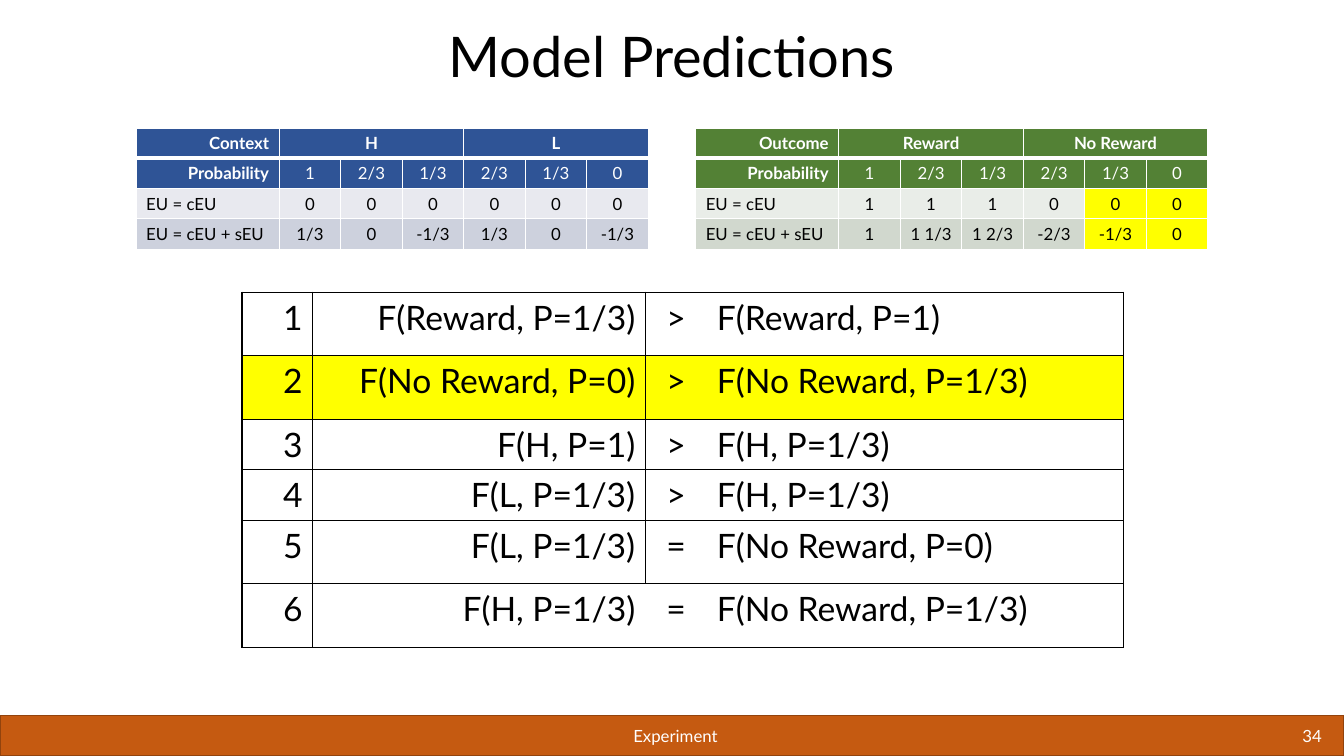
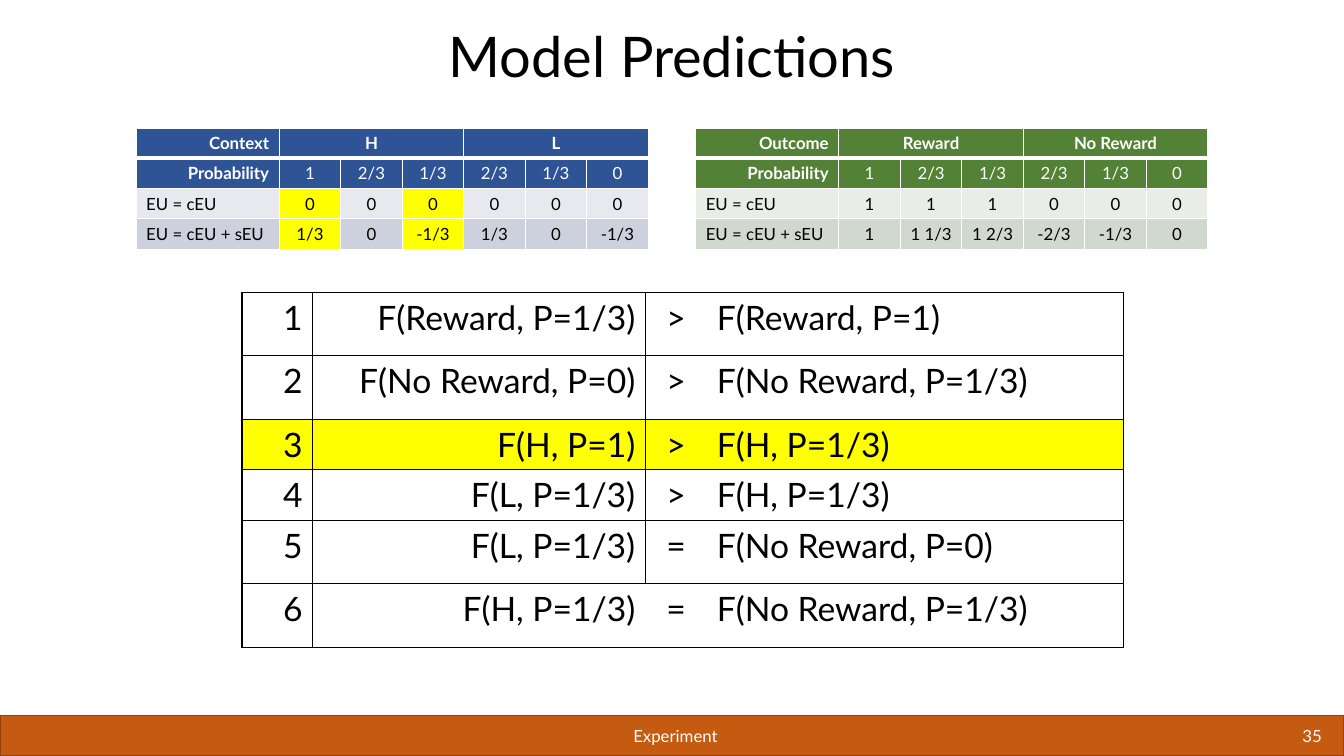
"""Builds two slides of model predictions, each highlighting one prediction."""
from pptx import Presentation
from pptx.dml.color import RGBColor
from pptx.enum.shapes import MSO_SHAPE as Shape
from pptx.enum.text import MSO_ANCHOR as Anchor, PP_ALIGN as Align
from pptx.oxml.ns import qn
from pptx.util import Inches, Pt
from lxml.etree import SubElement

FONT = "Lato"
BLACK, WHITE, YELLOW = "000000", "FFFFFF", "FFFF00"
BAND, BAND_LINE = "C55A11", "92430D"
TITLE, SECTION = "Model Predictions", "Experiment"
BAND_TOP, BAND_HEIGHT = 7.1, 0.4

PROBABILITIES = ["Probability", "1", "2/3", "1/3", "2/3", "1/3", "0"]
UTILITIES = [
    {
        "left": 1.35,
        "shades": ["2F5496", "2F5496", "E8E9EF", "CDD1DD"],
        "rows": [
            ["Context", "H", "", "", "L", "", ""],
            PROBABILITIES,
            ["EU = cEU", "0", "0", "0", "0", "0", "0"],
            ["EU = cEU + sEU", "1/3", "0", "-1/3", "1/3", "0", "-1/3"],
        ],
    },
    {
        "left": 6.9,
        "shades": ["538135", "538135", "E9EDE8", "D1D8CE"],
        "rows": [
            ["Outcome", "Reward", "", "", "No Reward", "", ""],
            PROBABILITIES,
            ["EU = cEU", "1", "1", "1", "0", "0", "0"],
            ["EU = cEU + sEU", "1", "1 1/3", "1 2/3", "-2/3", "-1/3", "0"],
        ],
    },
]
UTILITY_TOP, UTILITY_WIDTHS, UTILITY_HEIGHTS = 1.27, [1.42] + [0.61] * 6, [0.3] * 4

PREDICTIONS = [
    ("1", "F(Reward, P=1/3)", ">", "F(Reward, P=1)"),
    ("2", "F(No Reward, P=0)", ">", "F(No Reward, P=1/3)"),
    ("3", "F(H, P=1)", ">", "F(H, P=1/3)"),
    ("4", "F(L, P=1/3)", ">", "F(H, P=1/3)"),
    ("5", "F(L, P=1/3)", "=", "F(No Reward, P=0)"),
    ("6", "F(H, P=1/3)", "=", "F(No Reward, P=1/3)"),
]
PREDICTION_ALIGNS = [Align.RIGHT, Align.RIGHT, Align.CENTER, Align.LEFT]
PREDICTION_EDGES = ["LRTB", "LRTB", "LTB", "RTB"]
PREDICTION_WIDTHS = [0.7, 3.3, 0.61, 4.13]
PREDICTION_HEIGHTS = [0.63, 0.63, 0.5, 0.5, 0.63, 0.63]

SLIDES = [
    {"number": "34", "prediction": "2", "utility": 1, "columns": (5, 6)},
    {"number": "35", "prediction": "3", "utility": 0, "columns": (1, 3)},
]


def rgb(color):
    return RGBColor.from_string(color)


def style(para, size, color, align, bold=False):
    para.alignment = align
    font = para.font
    font.name, font.size, font.bold = FONT, Pt(size), bold
    font.color.rgb = rgb(color)


def add_text(page, text, area, size, color, align, anchor=Anchor.MIDDLE):
    box = page.shapes.add_textbox(*map(Inches, area))
    frame = box.text_frame
    frame.word_wrap, frame.vertical_anchor = True, anchor
    para = frame.paragraphs[0]
    para.text = text
    style(para, size, color, align)
    return para


def add_frame(page, number):
    band = page.shapes.add_shape(
        Shape.RECTANGLE, 0, Inches(BAND_TOP), Inches(13.33), Inches(BAND_HEIGHT))
    band.shadow.inherit = False
    band.fill.solid()
    band.fill.fore_color.rgb = rgb(BAND)
    band.line.color.rgb = rgb(BAND_LINE)
    band.line.width = Pt(1)
    title = add_text(page, TITLE, (0.66, 0.23, 12.01, 0.71), 40, BLACK,
                     Align.CENTER, Anchor.BOTTOM)
    title.line_spacing = 0.9
    for text, left, width, align in [(SECTION, 2.24, 8.92, Align.CENTER),
                                     (number, 11.15, 2.06, Align.RIGHT)]:
        add_text(page, text, (left, BAND_TOP, width, BAND_HEIGHT), 12, WHITE, align)


def add_grid(page, left, top, widths, heights):
    area = map(Inches, (left, top, sum(widths), sum(heights)))
    table = page.shapes.add_table(len(heights), len(widths), *area).table
    table.first_row = table.horz_banding = False
    for column, width in zip(table.columns, widths):
        column.width = Inches(width)
    for row, height in zip(table.rows, heights):
        row.height = Inches(height)
    return table


def set_borders(cell, color, widths):
    properties = cell._tc.get_or_add_tcPr()
    for edge in "LRTB":
        line = SubElement(properties, qn(f"a:ln{edge}"), w=str(Pt(widths.get(edge, 0))))
        if edge in widths:
            fill = SubElement(line, qn("a:solidFill"))
            SubElement(fill, qn("a:srgbClr"), val=color)
        else:
            SubElement(line, qn("a:noFill"))


def fill_cell(cell, text, fill):
    if fill:
        cell.fill.solid()
        cell.fill.fore_color.rgb = rgb(fill)
    else:
        cell.fill.background()
    para = cell.text_frame.paragraphs[0]
    para.text = text
    return para


def add_predictions(page, highlighted):
    table = add_grid(page, 2.4, 2.9, PREDICTION_WIDTHS, PREDICTION_HEIGHTS)
    for r, row in enumerate(PREDICTIONS):
        fill = YELLOW if row[0] == highlighted else None
        for c, text in enumerate(row):
            edges = dict.fromkeys(PREDICTION_EDGES[c], 1)
            last = r == len(PREDICTIONS) - 1
            if last and c == 1:
                del edges["R"]
            elif last and c == 2:
                del edges["L"]
            cell = table.cell(r, c)
            set_borders(cell, BLACK, edges)
            style(fill_cell(cell, text, fill), 24, BLACK, PREDICTION_ALIGNS[c])


def add_utilities(page, utility, highlighted):
    table = add_grid(page, utility["left"], UTILITY_TOP, UTILITY_WIDTHS, UTILITY_HEIGHTS)
    for first in (1, 4):
        table.cell(0, first).merge(table.cell(0, first + 2))
    for r, (row, shade) in enumerate(zip(utility["rows"], utility["shades"])):
        header = r < 2
        for c, text in enumerate(row):
            cell = table.cell(r, c)
            edges = {"L": 1, "R": 1, "T": 3 if r == 1 else 1, "B": 3 if r == 0 else 1}
            set_borders(cell, WHITE, edges)
            fill = YELLOW if c in highlighted and not header else shade
            label_align = Align.RIGHT if header else Align.LEFT
            style(fill_cell(cell, text, fill), 12, WHITE if header else BLACK,
                  Align.CENTER if c else label_align,
                  bold=r == 0 or (header and c == 0))


def main():
    deck = Presentation()
    deck.slide_width, deck.slide_height = Inches(13.33), Inches(7.5)
    for slide in SLIDES:
        page = deck.slides.add_slide(deck.slide_layouts[6])
        add_frame(page, slide["number"])
        add_predictions(page, slide["prediction"])
        for index, utility in enumerate(UTILITIES):
            columns = slide["columns"] if index == slide["utility"] else ()
            add_utilities(page, utility, columns)
    deck.save("out.pptx")


if __name__ == "__main__":
    main()
